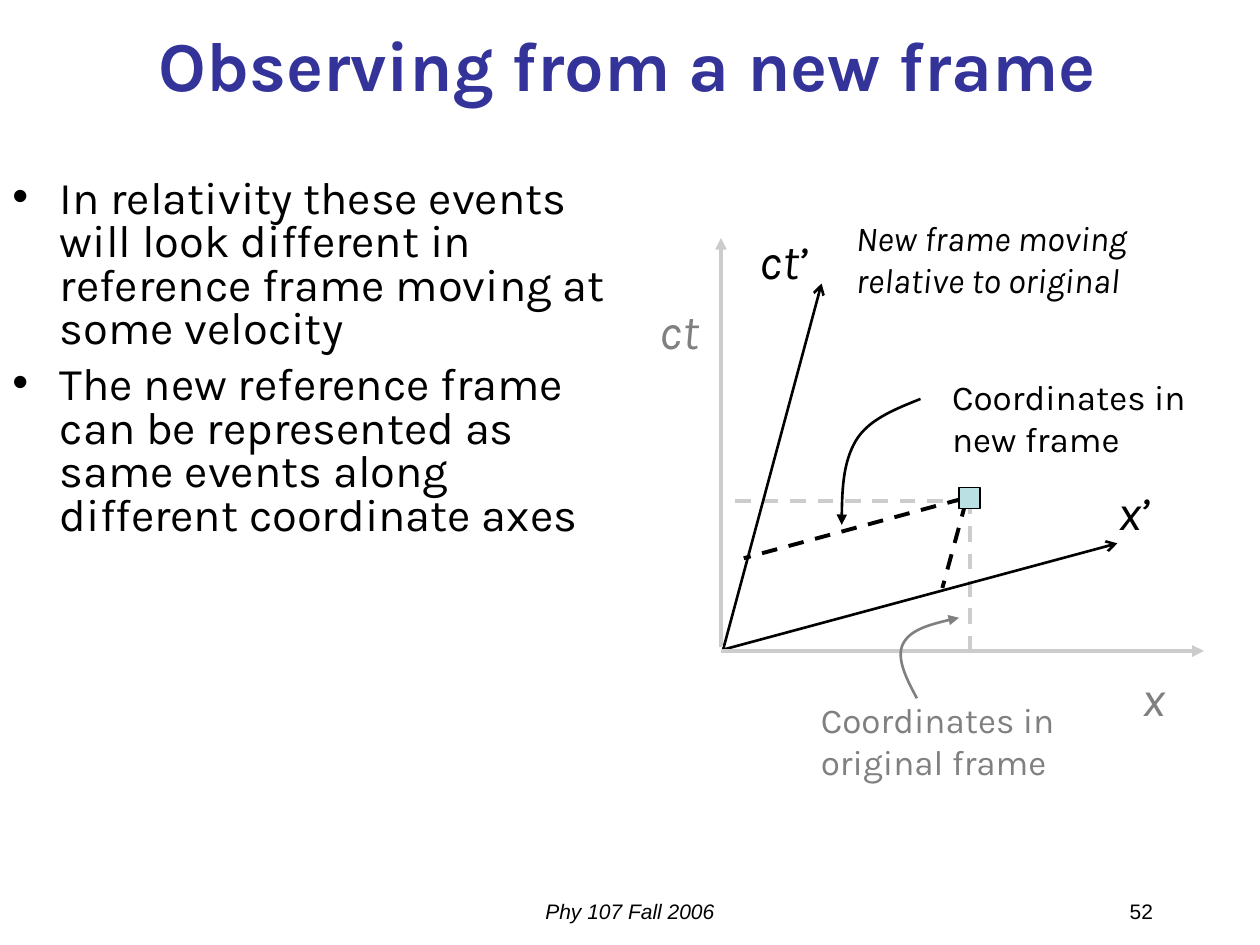
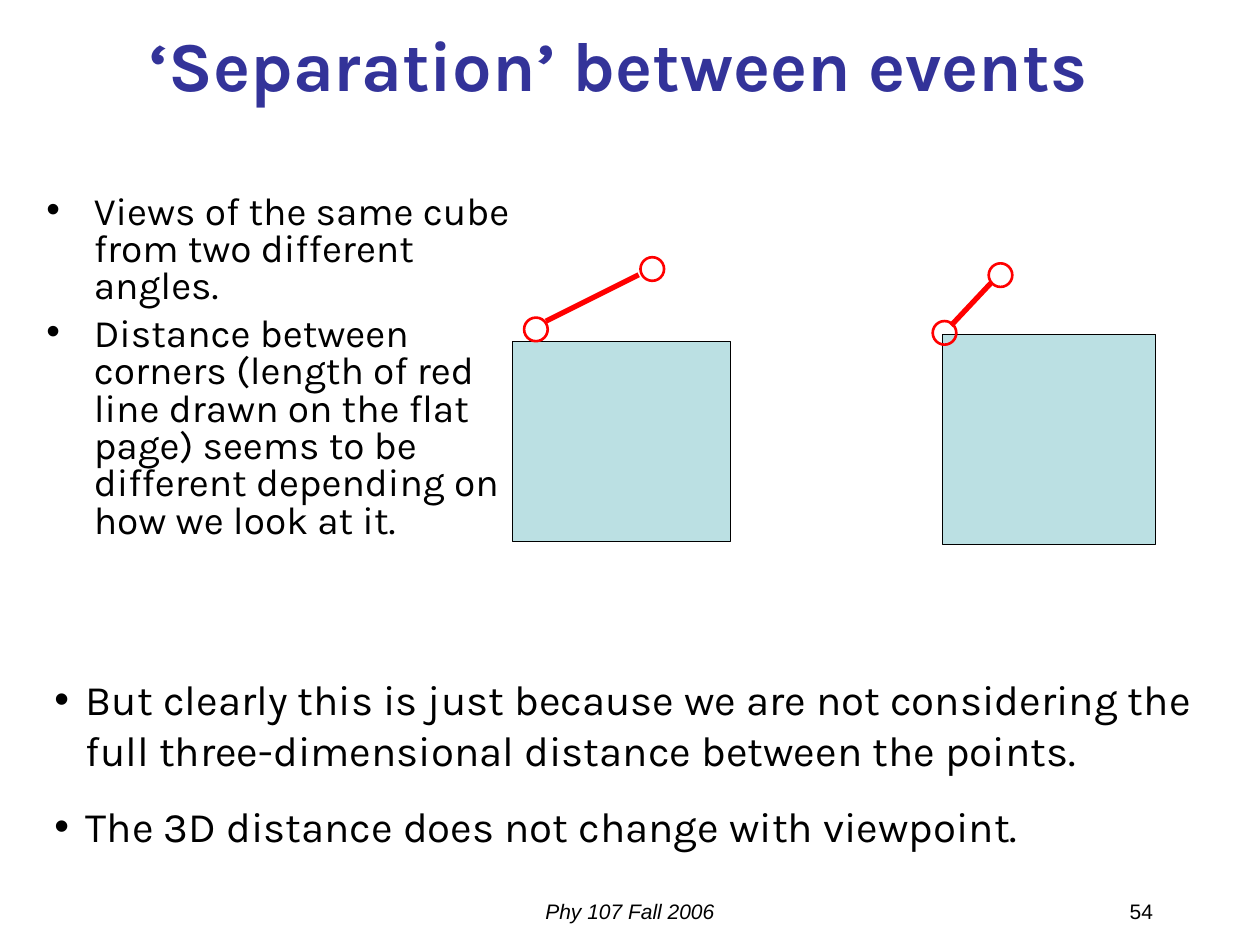
"""Build two slides on reference frames in relativity and the separation between events."""
from lxml.etree import SubElement
from pptx import Presentation
from pptx.dml.color import RGBColor
from pptx.enum.dml import MSO_LINE
from pptx.enum.shapes import MSO_CONNECTOR, MSO_SHAPE
from pptx.enum.text import MSO_ANCHOR, PP_ALIGN
from pptx.oxml.ns import qn
from pptx.util import Pt

BLACK = RGBColor(0x00, 0x00, 0x00)
NAVY = RGBColor(0x33, 0x33, 0x99)
GREY = RGBColor(0x80, 0x80, 0x80)
SILVER = RGBColor(0xCC, 0xCC, 0xCC)
AQUA = RGBColor(0xBB, 0xE0, 0xE3)
RED = RGBColor(0xFF, 0x00, 0x00)

TITLE = dict(name="Karla", size=Pt(40), bold=True)
FOOTER = dict(name="Arial", size=Pt(12), italic=True)
NUMBER = dict(name="Arial", size=Pt(12))
NOTE = dict(name="Karla", size=Pt(20))
NOTE_ITALIC = dict(NOTE, italic=True)
AXIS = dict(name="Karla", size=Pt(28), italic=True)
CENTER = dict(alignment=PP_ALIGN.CENTER)
RIGHT = dict(alignment=PP_ALIGN.RIGHT)


def put_text(sp, box, lines, font, para, color=BLACK, indent=0):
    for key, value in zip(("left", "top", "width", "height"), box):
        setattr(sp, key, Pt(value))
    tf = sp.text_frame
    tf.word_wrap = True
    for i, line in enumerate(lines):
        p = tf.add_paragraph() if i else tf.paragraphs[0]
        for key, value in para.items():
            setattr(p, key, value)
        if indent:
            pPr = p._p.get_or_add_pPr()
            pPr.set("marL", str(Pt(indent)))
            pPr.set("indent", str(-Pt(indent)))
            SubElement(pPr, qn("a:buFont"), typeface="Arial")
            SubElement(pPr, qn("a:buChar"), char="•")
        r = p.add_run()
        r.text = line
        for key, value in font.items():
            setattr(r.font, key, value)
        r.font.color.rgb = color


def style_line(sp, color, width, dash=None, tail=None):
    sp.line.color.rgb = color
    sp.line.width = Pt(width)
    if dash:
        sp.line.dash_style = dash
    if tail:
        SubElement(sp.line._get_or_add_ln(), qn("a:tailEnd"), type=tail)
    SubElement(sp._element.spPr, qn("a:effectLst"))


prs = Presentation()
prs.slide_width, prs.slide_height = Pt(720), Pt(540)

slides = []
for title, number in (("Observing from a new frame", "52"), ("‘Separation’ between events ", "54")):
    s = prs.slides.add_slide(prs.slide_layouts[5])
    put_text(s.shapes.title, (52.5, 6, 612, 60), [title], TITLE, CENTER, NAVY)
    s.shapes.title.text_frame.vertical_anchor = MSO_ANCHOR.MIDDLE
    put_text(s.shapes.add_textbox(0, 0, 0, 0), (246, 510, 228, 24),
             ["Phy 107 Fall 2006"], FOOTER, CENTER)
    put_text(s.shapes.add_textbox(0, 0, 0, 0), (516, 510, 150, 24), [number], NUMBER, RIGHT)
    slides.append(s)
frame, cube = slides

bodies = (
    (frame, (0, 99, 356.5, 324), 25.9, 27, dict(line_spacing=0.8, space_before=Pt(7)), [
        "In relativity these events will look different in reference frame moving at some velocity",
        "The new reference frame can be represented as same events along different coordinate axes"]),
    (cube, (19.5, 108, 285, 250.5), 22.2, 27, dict(line_spacing=0.8, space_before=Pt(6)), [
        "Views of the same cube from two different angles.",
        "Distance between corners (length of red line drawn on the flat page) "
        "seems to be different depending on how we look at it."]),
    (cube, (24, 381.5, 670, 166), 24, 18, dict(space_before=Pt(15)), [
        "But clearly this is just because we are not considering the full "
        "three-dimensional distance between the points.",
        "The 3D distance does not change with viewpoint."]),
)
for s, box, size, indent, para, lines in bodies:
    put_text(s.shapes.add_textbox(0, 0, 0, 0), box, lines,
             dict(name="Karla", size=Pt(size)), para, indent=indent)

lines = (
    (554.5, 286.5, 412, 286.5, SILVER, 2.25, MSO_LINE.DASH, None),
    (554.5, 285, 554.5, 371.5, SILVER, 2.25, MSO_LINE.DASH, None),
    (552, 286.5, 538.5, 336, BLACK, 2.25, MSO_LINE.DASH, None),
    (550, 285, 425, 319, BLACK, 2.25, MSO_LINE.DASH, None),
    (413, 372, 469.5, 162, BLACK, 1.5, None, "arrow"),
    (414, 371, 638.5, 310.5, BLACK, 1.5, None, "arrow"),
    (412, 370, 412, 136, SILVER, 2.25, None, "triangle"),
    (412, 372, 688, 372, SILVER, 2.25, None, "triangle"),
)
for x1, y1, x2, y2, *look in lines:
    sp = frame.shapes.add_connector(MSO_CONNECTOR.STRAIGHT, Pt(x1), Pt(y1), Pt(x2), Pt(y2))
    style_line(sp, *look)

curves = (
    (GREY, [(523.5, 399), (517.5, 387.5), (512, 376), (515.5, 368), (520, 360), (534, 356.5), (548.5, 353)]),
    (BLACK, [(526.5, 227.5), (511, 234), (496, 240.5), (489, 252.5), (482, 264.5), (481, 282), (481, 299.5)]),
)
for color, points in curves:
    builder = frame.shapes.build_freeform(*points[0], scale=Pt(1))
    builder.add_line_segments(points[1:], close=False)
    sp = builder.convert_to_shape()
    segments = list(sp._element.iter(qn("a:lnTo")))
    for i in range(0, len(segments), 3):
        curve = SubElement(segments[i].getparent(), qn("a:cubicBezTo"))
        for segment in segments[i:i + 3]:
            curve.append(segment[0])
            segment.getparent().remove(segment)
    sp.fill.background()
    style_line(sp, color, 1.5, tail="triangle")

labels = (
    ("Coordinates in original frame", (462, 395.5, 152, 79), NOTE, GREY),
    ("Coordinates in new frame", (537, 211, 152, 79), NOTE, BLACK),
    ("New frame moving relative to original", (482, 120, 214.5, 79), NOTE_ITALIC, BLACK),
    ("ct’", (427, 128, 58, 75), AXIS, BLACK),
    ("x’", (632, 271.5, 57.5, 41), AXIS, BLACK),
    ("x", (646, 378, 36, 41), AXIS, GREY),
    ("ct", (370, 168, 48, 41), AXIS, GREY),
)
for text, box, font, color in labels:
    put_text(frame.shapes.add_textbox(0, 0, 0, 0), box, [text], font,
             dict(space_before=font["size"] * 5 // 8), color)

squares = (
    (frame, 548, 278.5, 12, 12),
    (cube, 293, 195, 124.5, 114.5),
    (cube, 538.5, 191, 122, 120),
)
for s, *box in squares:
    sp = s.shapes.add_shape(MSO_SHAPE.RECTANGLE, *map(Pt, box))
    sp.fill.solid()
    sp.fill.fore_color.rgb = AQUA
    style_line(sp, BLACK, 0.75)

edges = (
    ((366, 147), (299.5, 181.5), (312, 183.5, 365, 157)),
    ((565, 150.5), (533, 183.5), (543.5, 186, 566.5, 161.5)),
)
for *corners, edge in edges:
    for x, y in corners:
        sp = cube.shapes.add_shape(MSO_SHAPE.OVAL, Pt(x), Pt(y), Pt(13.5), Pt(13.5))
        sp.fill.background()
        style_line(sp, RED, 1.5)
    style_line(cube.shapes.add_connector(MSO_CONNECTOR.STRAIGHT, *map(Pt, edge)), RED, 3)

prs.save("out.pptx")
